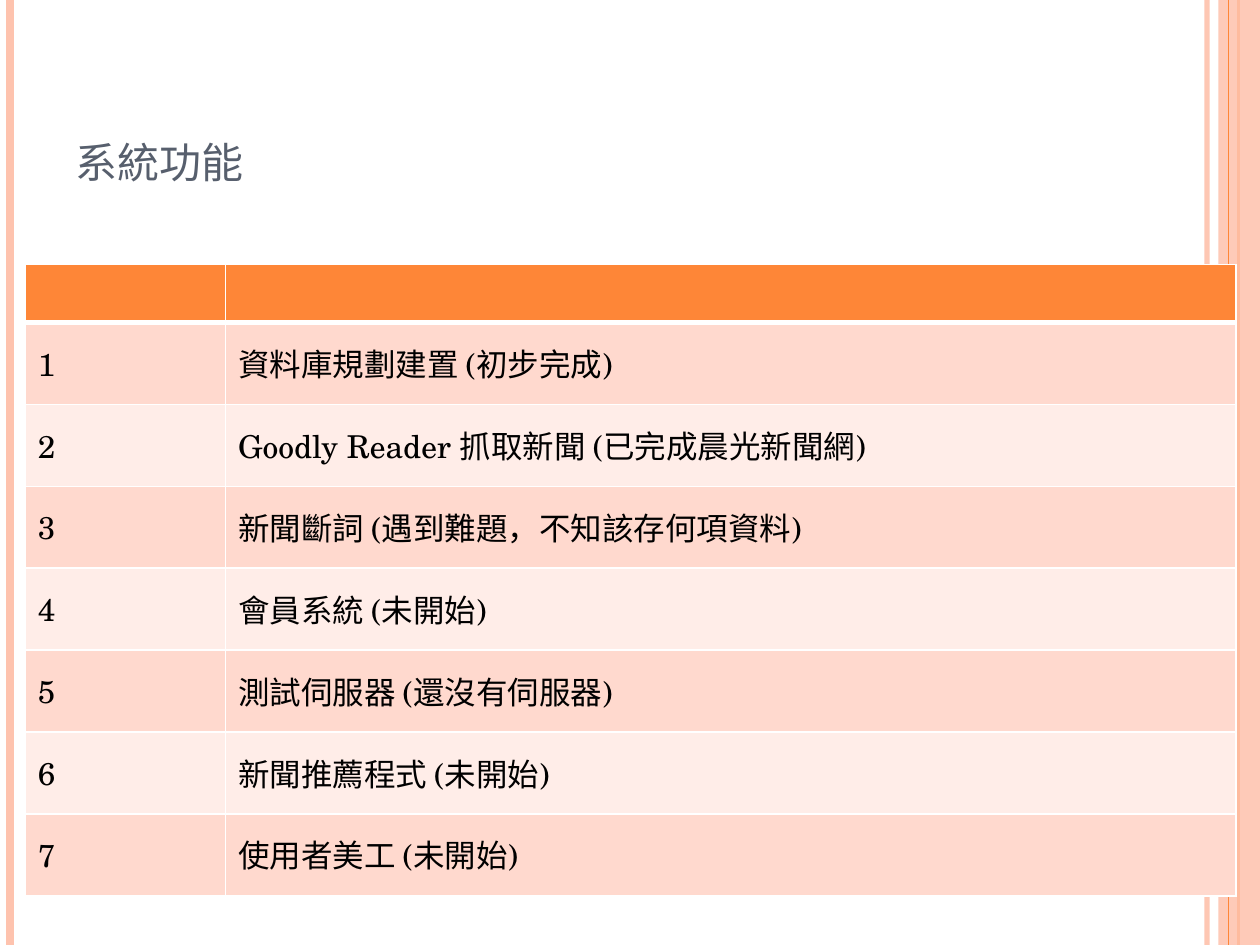
"""Builds the system features slide: a title, side stripes and a table."""
from lxml import etree
from pptx import Presentation
from pptx import util as u
from pptx.dml.color import RGBColor
from pptx.enum import shapes, text
from pptx.oxml import ns

FONT = "TeX Gyre Schola"
ORANGE = RGBColor(0xFE, 0x86, 0x37)
PEACH = RGBColor(0xFE, 0xC3, 0xAE)
BAND_DARK = RGBColor(0xFF, 0xD9, 0xCE)
BAND_LIGHT = RGBColor(0xFF, 0xED, 0xE8)
SLATE = RGBColor(0x57, 0x5F, 0x6D)
BLACK = RGBColor(0, 0, 0)
WHITE = RGBColor(0xFF, 0xFF, 0xFF)

FEATURES = [
    "資料庫規劃建置 (初步完成)",
    "Goodly Reader 抓取新聞 (已完成晨光新聞網)",
    "新聞斷詞 (遇到難題，不知該存何項資料)",
    "會員系統 (未開始)",
    "測試伺服器 (還沒有伺服器)",
    "新聞推薦程式 (未開始)",
    "使用者美工 (未開始)",
]


class Deck:
    """Holds the style and the current slide."""

    def __init__(self, prs):
        self.prs = prs
        self.s = prs.slides.add_slide(prs.slide_layouts[5])

    def run(self, p, content, size, color):
        r = p.add_run()
        r.text = content
        r.font.name = FONT
        r.font.size = u.Pt(size)
        r.font.color.rgb = color
        return r

    def set_alpha(self, parent, percent):
        clr = parent.find(".//" + ns.qn("a:srgbClr"))
        etree.SubElement(clr, ns.qn("a:alpha"), val=str(percent * 1000))

    def stripe(self, x, width, color, alpha=None):
        c = self.s.shapes.add_connector(
            shapes.MSO_CONNECTOR.STRAIGHT,
            u.Inches(x), 0, u.Inches(x), self.prs.slide_height)
        c.line.color.rgb = color
        c.line.width = u.Pt(width)
        if alpha:
            self.set_alpha(c.line._ln, alpha)
        etree.SubElement(c._element.spPr, ns.qn("a:effectLst"))

    def band(self, x, width, color, alpha):
        sp = self.s.shapes.add_shape(
            shapes.MSO_SHAPE.RECTANGLE,
            u.Inches(x), 0, u.Inches(width), self.prs.slide_height)
        sp.shadow.inherit = False
        sp.fill.solid()
        sp.fill.fore_color.rgb = color
        sp.line.fill.background()
        self.set_alpha(sp._element.spPr, alpha)

    def title(self, content, left, top, width, height):
        sp = self.s.shapes.title
        sp.left, sp.top = u.Inches(left), u.Inches(top)
        sp.width, sp.height = u.Inches(width), u.Inches(height)
        tf = sp.text_frame
        tf.word_wrap = True
        tf.auto_size = text.MSO_AUTO_SIZE.NONE
        tf.vertical_anchor = text.MSO_ANCHOR.BOTTOM
        p = tf.paragraphs[0]
        p.alignment = text.PP_ALIGN.LEFT
        r = self.run(p, content, 30, SLATE)
        r.font._element.set("cap", "small")

    def cell(self, cell, content, fill, bottom=1):
        tc_pr = cell._tc.get_or_add_tcPr()
        for side, width in zip("LRTB", (1, 1, 1, bottom)):
            ln = etree.SubElement(
                tc_pr, ns.qn(f"a:ln{side}"), w=str(u.Pt(width)))
            solid = etree.SubElement(ln, ns.qn("a:solidFill"))
            etree.SubElement(solid, ns.qn("a:srgbClr"), val=str(WHITE))
        cell.fill.solid()
        cell.fill.fore_color.rgb = fill
        cell.vertical_anchor = text.MSO_ANCHOR.MIDDLE
        if content:
            self.run(cell.text_frame.paragraphs[0], content, 18, BLACK)

    def table(self, rows, left, top, widths, header_height, row_height):
        height = header_height + row_height * len(rows)
        tbl = self.s.shapes.add_table(
            len(rows) + 1, len(widths), u.Inches(left), u.Inches(top),
            u.Inches(sum(widths)), u.Inches(height)).table
        for column, width in zip(tbl.columns, widths):
            column.width = u.Inches(width)
        tbl.rows[0].height = u.Inches(header_height)
        for cell in tbl.rows[0].cells:
            self.cell(cell, "", ORANGE, bottom=3)
        for i, values in enumerate(rows, 1):
            tbl.rows[i].height = u.Inches(row_height)
            fill = BAND_DARK if i % 2 else BAND_LIGHT
            for cell, value in zip(tbl.rows[i].cells, values):
                self.cell(cell, value, fill)


def main():
    prs = Presentation()
    prs.slide_width, prs.slide_height = u.Inches(10), u.Inches(7.5)
    deck = Deck(prs)
    deck.stripe(9.58, 3, PEACH, alpha=93)
    deck.stripe(0.08, 4.5, PEACH)
    deck.stripe(9.83, 1.5, ORANGE)
    deck.band(9.67, 0.33, PEACH, alpha=87)
    deck.stripe(9.75, 0.75, ORANGE)
    deck.title("系統功能", 0.5, 0.3, 8.17, 1.25)
    rows = [(str(n), feature) for n, feature in enumerate(FEATURES, 1)]
    deck.table(rows, 0.2, 2.1, (1.59, 8.02), 0.46, 0.65)
    prs.save("out.pptx")


if __name__ == "__main__":
    main()
